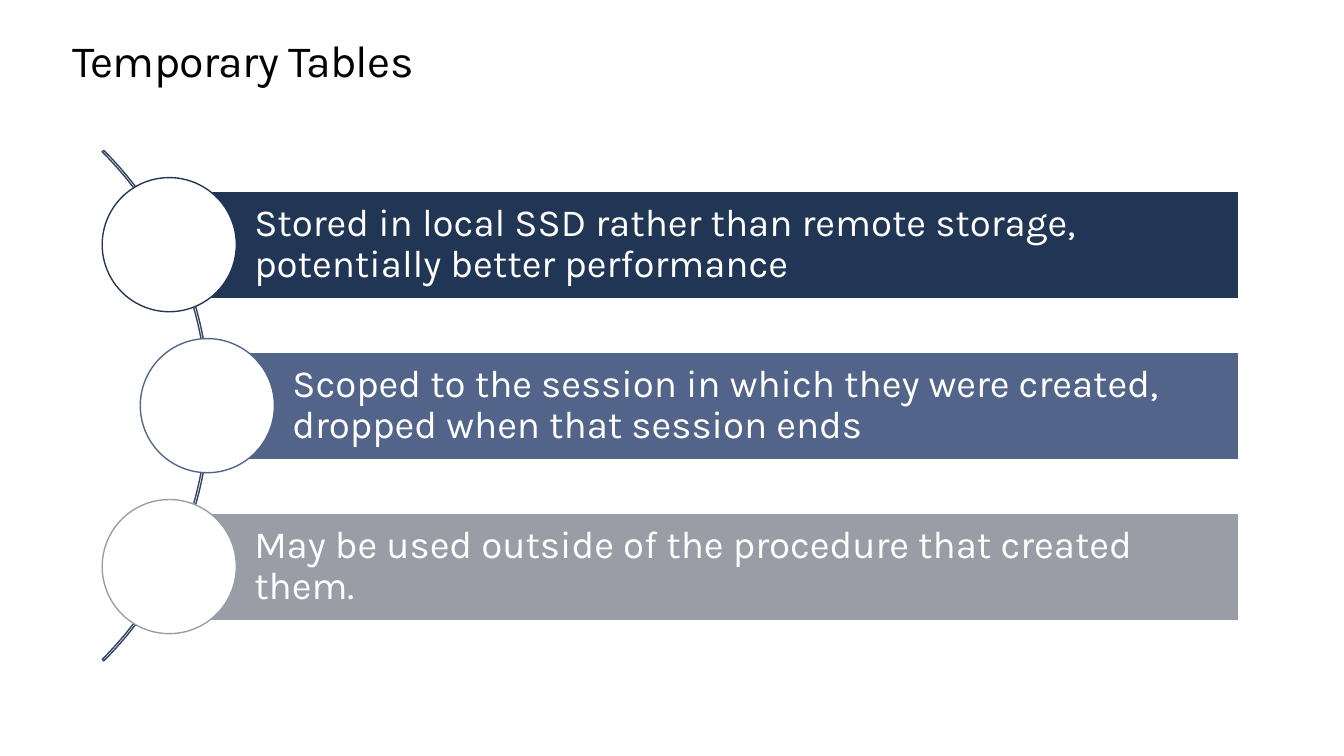
from math import cos, pi, sqrt

from pptx import Presentation
from pptx.dml.color import RGBColor
from pptx.enum.shapes import MSO_SHAPE
from pptx.enum.text import MSO_ANCHOR, MSO_AUTO_SIZE, PP_ALIGN
from pptx.util import Inches, Pt

RECTANGLE, OVAL, BLOCK_ARC = MSO_SHAPE.RECTANGLE, MSO_SHAPE.OVAL, MSO_SHAPE.BLOCK_ARC
TOP, MIDDLE = MSO_ANCHOR.TOP, MSO_ANCHOR.MIDDLE
LEFT = PP_ALIGN.LEFT
GROW = MSO_AUTO_SIZE.SHAPE_TO_FIT_TEXT

SLIDE_WIDTH, SLIDE_HEIGHT = 13.6, 7.65
TITLE_ONLY_LAYOUT = 5
FONT = "Karla"
COLORS = {
    "white": "FFFFFF",
    "black": "000000",
    "arc": "304162",
    "navy": "213555",
    "blue": "526489",
    "gray": "9A9DA5",
}
POINTS = [
    ("Stored in local SSD rather than remote storage, potentially better performance", "navy"),
    ("Scoped to the session in which they were created, dropped when that session ends", "blue"),
    ("May be used outside of the procedure that created them.", "gray"),
]


def color(name):
    return RGBColor.from_string(COLORS[name])


def add_outlined(slide, kind, box, fill, line):
    shape = slide.shapes.add_shape(kind, *map(Inches, box))
    shape.shadow.inherit = False
    if fill:
        shape.fill.solid()
        shape.fill.fore_color.rgb = color(fill)
    else:
        shape.fill.background()
    shape.line.color.rgb = color(line)
    shape.line.width = Pt(1)
    return shape


def format_text(shape, text, size, text_color, anchor, margins, line_spacing):
    frame = shape.text_frame
    frame.text = text
    frame.word_wrap = True
    frame.vertical_anchor = anchor
    (frame.margin_left, frame.margin_top,
     frame.margin_right, frame.margin_bottom) = map(Inches, margins)
    paragraph = frame.paragraphs[0]
    paragraph.alignment = LEFT
    paragraph.line_spacing = line_spacing
    run = paragraph.runs[0]
    run.font.name = FONT
    run.font.size = Pt(size)
    run.font.color.rgb = color(text_color)
    return run


def add_title(slide, text, box):
    title = slide.shapes.title
    title.left, title.top, title.width, title.height = map(Inches, box)
    title.fill.solid()
    title.fill.fore_color.rgb = color("white")
    run = format_text(title, text, 32.6, "black", TOP, (0, 0, 0, 0), Pt(36.9))
    run.font._element.set("spc", "-50")
    title.text_frame.auto_size = GROW


def add_point(slide, text, fill, center_x, center_y, right, bar_height):
    """Draw a bar that starts at the centre of its disc."""
    bar_box = (center_x, center_y - bar_height / 2, right - center_x, bar_height)
    bar = add_outlined(slide, RECTANGLE, bar_box, fill, "white")
    format_text(bar, text, 28, "white", MIDDLE, (0.86, 0.08, 0.08, 0.08), 0.9)
    disc = 1.25 * bar_height
    disc_box = (center_x - disc / 2, center_y - disc / 2, disc, disc)
    add_outlined(slide, OVAL, disc_box, "white", fill)


def add_curved_list(slide, points, box):
    """Spread points along a quarter arc whose ends lie on the left edge of the box."""
    left, top, width, height = box
    radius = 0.673 * height
    arc_x, arc_y = left - radius * cos(pi / 4), top + height / 2
    arc_box = (arc_x - radius, arc_y - radius, 2 * radius, 2 * radius)
    arc = add_outlined(slide, BLOCK_ARC, arc_box, None, "arc")
    for index, value in enumerate((189, 27, 0.003)):
        arc.adjustments[index] = value

    track = 0.669 * height
    for index, (text, fill) in enumerate(points):
        offset = (index - (len(points) - 1) / 2) * 0.3 * height
        center_x = arc_x + sqrt(track ** 2 - offset ** 2)
        add_point(slide, text, fill, center_x, arc_y + offset, left + width, height / 5)


def main():
    presentation = Presentation()
    presentation.slide_width = Inches(SLIDE_WIDTH)
    presentation.slide_height = Inches(SLIDE_HEIGHT)
    slide = presentation.slides.add_slide(presentation.slide_layouts[TITLE_ONLY_LAYOUT])
    add_title(slide, "Temporary Tables", (0.73, 0.36, 12.14, 0.51))
    add_curved_list(slide, POINTS, (1.05, 1.39, 11.48, 5.43))
    presentation.save("out.pptx")


if __name__ == "__main__":
    main()
